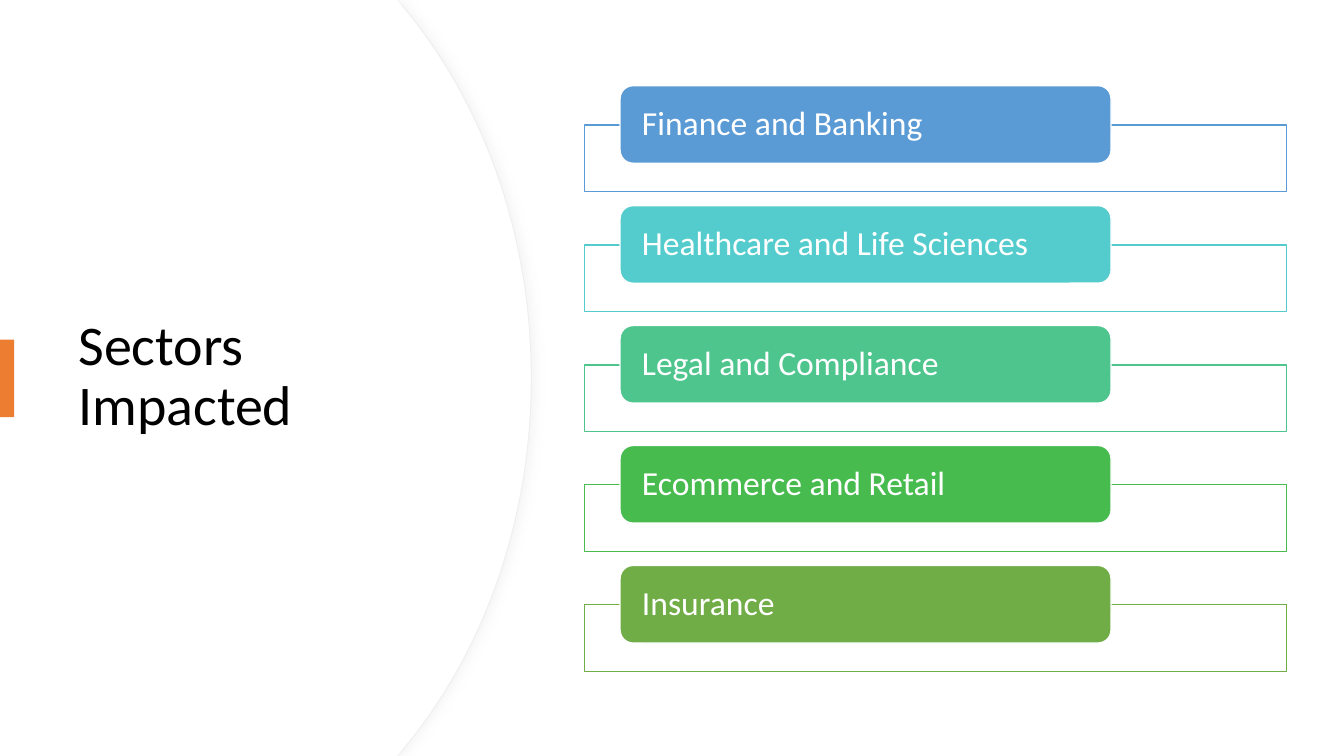
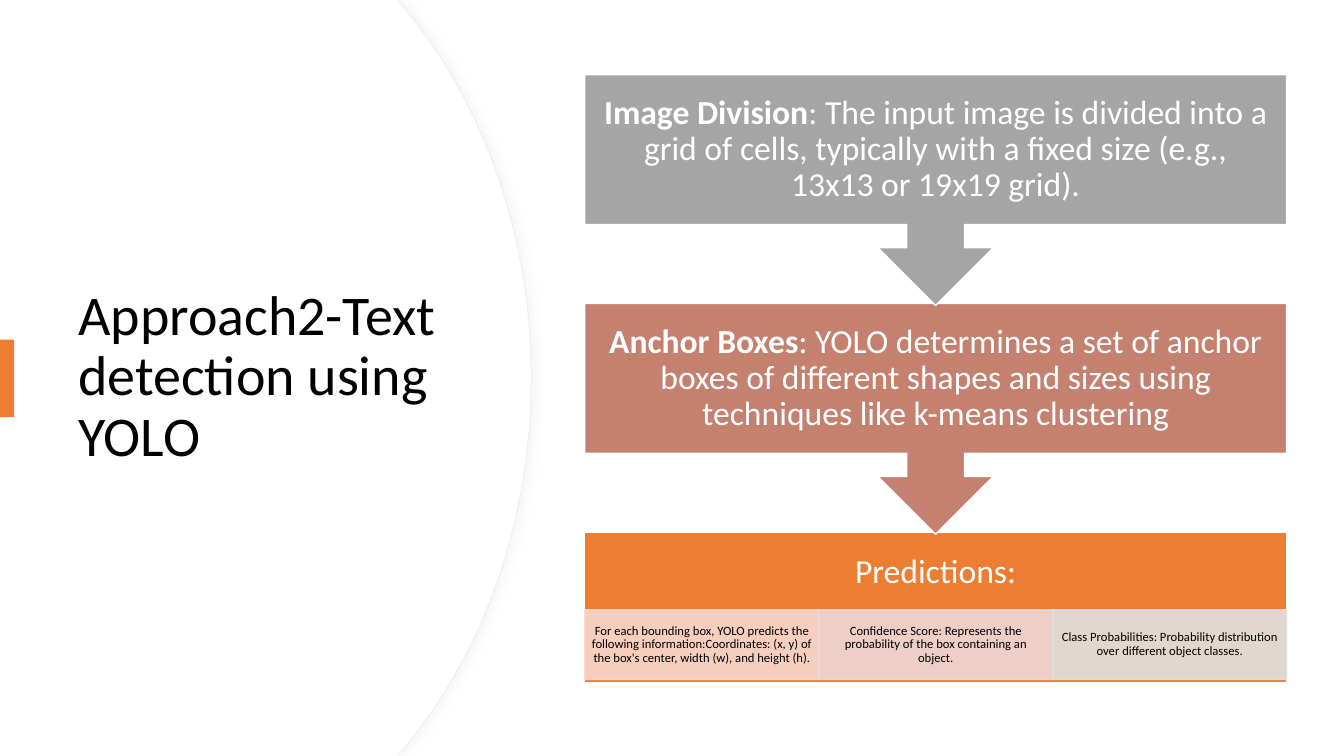
"""Build two slides that share a curved title panel: a sector list and a process flow."""
from lxml.etree import SubElement
from pptx import Presentation
from pptx.dml.color import RGBColor
from pptx.enum.shapes import MSO_SHAPE
from pptx.enum.text import MSO_ANCHOR, PP_ALIGN
from pptx.oxml.ns import qn
from pptx.util import Inches, Pt

WHITE = RGBColor(0xFF, 0xFF, 0xFF)
BLACK = RGBColor(0x00, 0x00, 0x00)
ORANGE = RGBColor(0xED, 0x7D, 0x31)
GRAY = RGBColor(0xA5, 0xA5, 0xA5)
CLAY = RGBColor(0xC4, 0x81, 0x70)
PANEL_LINE = RGBColor(0xEF, 0xEF, 0xEF)
PANEL_SHADOW = RGBColor(0xD9, 0xD9, 0xD9)

HEIGHT = 7.5
LEFT, WIDTH = 5.8, 6.96
TITLE = {"size": Pt(40), "name": "Calibri"}
BODY = {"size": Pt(24), "name": "Calibri"}
SMALL = {"size": Pt(9), "name": "Calibri"}

SECTORS = [
    ("Finance and Banking", RGBColor(0x5B, 0x9B, 0xD5)),
    ("Healthcare and Life Sciences", RGBColor(0x54, 0xCC, 0xCD)),
    ("Legal and Compliance", RGBColor(0x4D, 0xC5, 0x8D)),
    ("Ecommerce and Retail", RGBColor(0x48, 0xBB, 0x4F)),
    ("Insurance", RGBColor(0x70, 0xAD, 0x47)),
]
STEPS = [
    ("Image Division", ": The input image is divided into a grid of cells, typically "
     "with a fixed size (e.g., 13x13 or 19x19 grid).", GRAY),
    ("Anchor Boxes", ": YOLO determines a set of anchor boxes of different shapes and "
     "sizes using techniques like k-means clustering", CLAY),
]
PREDICTIONS = [
    ("For each bounding box, YOLO predicts the following information:Coordinates: "
     "(x, y) of the box's center, width (w), and height (h).", RGBColor(0xF8, 0xD7, 0xCE)),
    ("Confidence Score: Represents the probability of the box containing an object.",
     RGBColor(0xED, 0xD9, 0xD7)),
    ("Class Probabilities: Probability distribution over different object classes.",
     RGBColor(0xE1, 0xE1, 0xE1)),
]


def set_alpha(fill_parent, percent):
    for clr in fill_parent.iter(qn("a:srgbClr")):
        SubElement(clr, qn("a:alpha"), val=str(percent * 1000))


def paint(sp, fill, line=None, weight=1):
    sp.shadow.inherit = False
    sp.fill.solid()
    sp.fill.fore_color.rgb = fill
    if line is None:
        sp.line.fill.background()
    else:
        sp.line.color.rgb = line
        sp.line.width = Pt(weight)


def add_box(s, kind, box, fill, line=None):
    sp = s.shapes.add_shape(kind, *map(Inches, box))
    paint(sp, fill, line)
    return sp


def write(sp, runs, font, color, align=PP_ALIGN.LEFT, insets=(0.1, 0.05, 0.1, 0.05)):
    tf = sp.text_frame
    sides = ("margin_left", "margin_top", "margin_right", "margin_bottom")
    frame = dict(zip(sides, map(Inches, insets)), word_wrap=True,
                 vertical_anchor=MSO_ANCHOR.MIDDLE)
    for key, value in frame.items():
        setattr(tf, key, value)
    p = tf.paragraphs[0]
    p.alignment = align
    p.line_spacing = 0.9
    for text, bold in runs:
        r = p.add_run()
        r.text = text
        for key, value in {**font, "bold": bold}.items():
            setattr(r.font, key, value)
        r.font.color.rgb = color


def curve_segments(sp, first, count):
    lines = list(sp._element.iter(qn("a:lnTo")))
    for i in range(first, first + 3 * count, 3):
        curve = lines[i]
        curve.tag = qn("a:cubicBezTo")
        for extra in lines[i + 1:i + 3]:
            curve.append(extra[0])
            extra.getparent().remove(extra)


def add_panel(s, right, line=None):
    upper = [(3.94, 0), (right - 1.26, 0.08), (right - 0.48, 1.02), (right, 2.32)]
    lower = [(x, HEIGHT - y) for x, y in reversed(upper)]
    points = [*upper, (right, HEIGHT / 2), *lower, (0, HEIGHT)]
    outline = s.shapes.build_freeform(0, 0)
    outline.add_line_segments([(Inches(x), Inches(y)) for x, y in points])
    sp = outline.convert_to_shape()
    curve_segments(sp, 2, 2)
    paint(sp, WHITE, line, 0.75)
    return sp


def add_shadow(sp):
    effects = sp._element.spPr.find(qn("a:effectLst"))
    shadow = SubElement(effects, qn("a:outerShdw"), blurRad=str(Pt(7)),
                        dist=str(Pt(3)), dir="0", algn="l", rotWithShape="0")
    SubElement(shadow, qn("a:srgbClr"), val=str(PANEL_SHADOW))
    set_alpha(shadow, 25)


def add_titled_slide(prs, title):
    s = prs.slides.add_slide(prs.slide_layouts[6])
    add_shadow(add_panel(s, 5.27, PANEL_LINE))
    add_panel(s, 5.26)
    tb = s.shapes.add_textbox(*map(Inches, (0.68, 1.27, 3.94, 4.95)))
    write(tb, [(title, False)], TITLE, BLACK)
    add_box(s, MSO_SHAPE.RECTANGLE, (0, 3.37, 0.14, 0.77), ORANGE)
    return s


def add_sector(s, top, name, color):
    add_box(s, MSO_SHAPE.RECTANGLE, (LEFT, top + 0.39, WIDTH, 0.66), WHITE, color)
    tab = add_box(s, MSO_SHAPE.ROUNDED_RECTANGLE, (6.15, top, 4.87, 0.77), color, WHITE)
    write(tab, [(name, False)], BODY, WHITE, insets=(0.18, 0, 0.18, 0))


def add_step(s, top, lead, rest, color):
    sp = add_box(s, MSO_SHAPE.DOWN_ARROW_CALLOUT, (LEFT, top, WIDTH, 2.29), color, WHITE)
    write(sp, [(lead, True), (rest, False)], BODY, WHITE, PP_ALIGN.CENTER, (0.19,) * 4)


def add_predictions(s, top):
    sp = add_box(s, MSO_SHAPE.RECTANGLE, (LEFT, top, WIDTH, 1.49), ORANGE, WHITE)
    write(sp, [("Predictions:", False)], BODY, WHITE, PP_ALIGN.CENTER,
          (0.19, 0.19, 0.19, 0.88))
    width = WIDTH / len(PREDICTIONS)
    for i, (text, color) in enumerate(PREDICTIONS):
        box = (LEFT + i * width, top + 0.77, width, 0.69)
        cell = add_box(s, MSO_SHAPE.RECTANGLE, box, color, color)
        set_alpha(cell._element.spPr, 90)
        write(cell, [(text, False)], SMALL, BLACK, PP_ALIGN.CENTER,
              (0.07, 0.01, 0.07, 0.01))


def main():
    prs = Presentation()
    prs.slide_width, prs.slide_height = Inches(13.33), Inches(HEIGHT)

    s = add_titled_slide(prs, "Sectors Impacted")
    for i, (name, color) in enumerate(SECTORS):
        add_sector(s, 0.85 + i * 1.19, name, color)

    s = add_titled_slide(prs, "Approach2-Text detection using YOLO")
    add_predictions(s, 5.28)
    for i, step in reversed(list(enumerate(STEPS))):
        add_step(s, 0.74 + i * 2.27, *step)

    prs.save("out.pptx")


if __name__ == "__main__":
    main()
